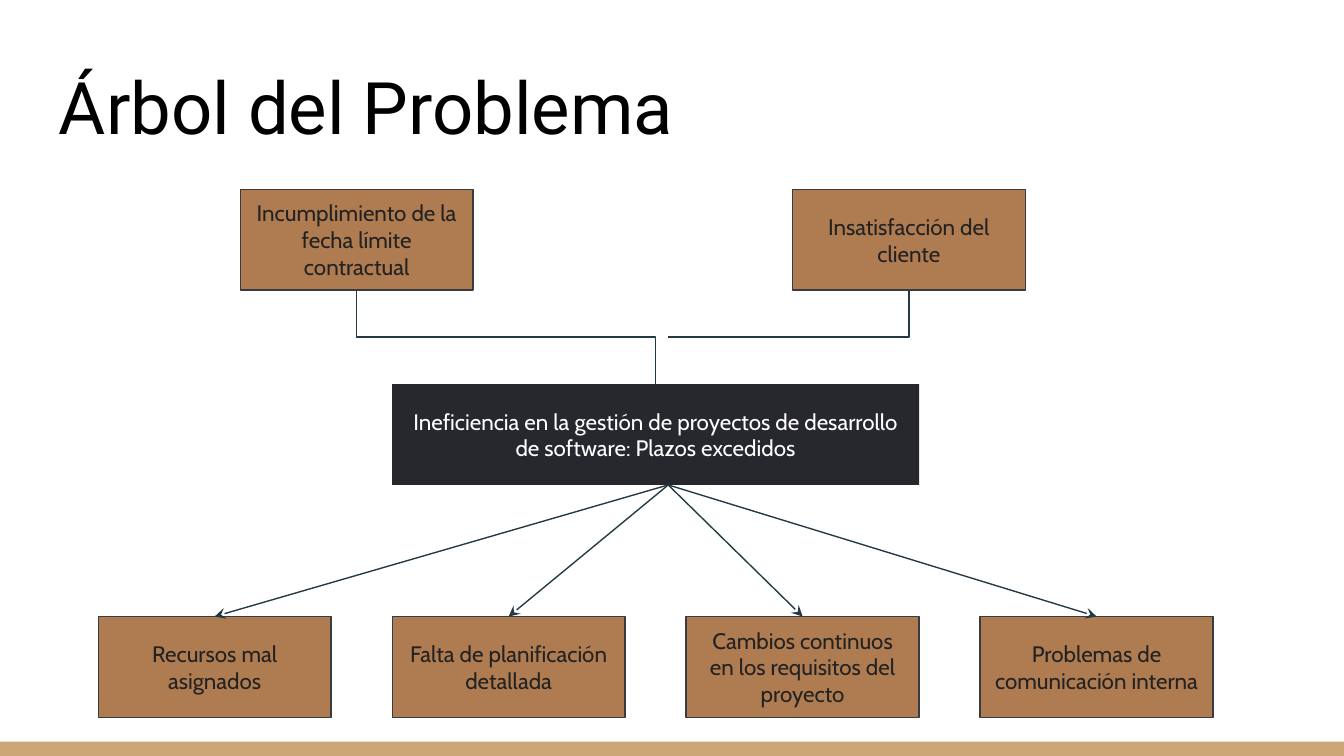
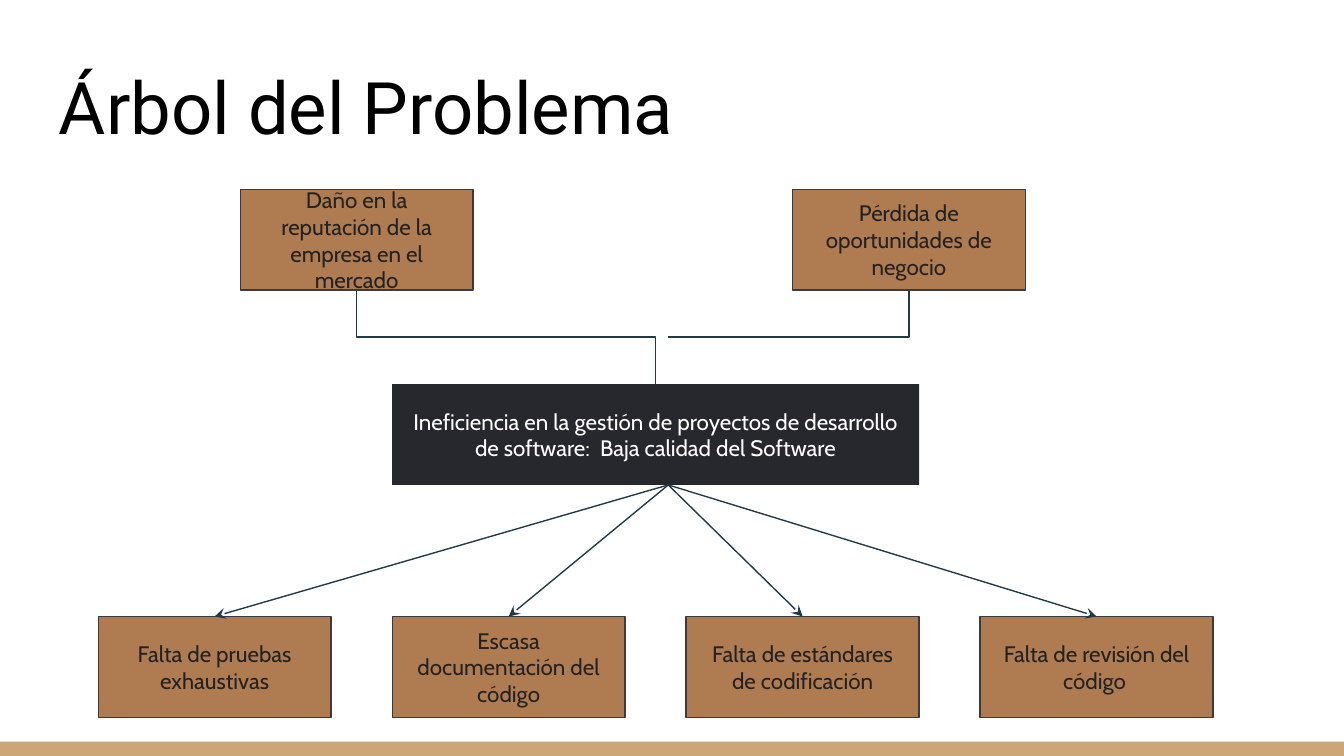
from dataclasses import dataclass

from lxml.etree import SubElement
from pptx import Presentation
from pptx.dml.color import RGBColor
from pptx.enum.shapes import MSO_CONNECTOR, MSO_SHAPE
from pptx.enum.text import MSO_ANCHOR, PP_ALIGN
from pptx.oxml.ns import qn
from pptx.util import Pt


@dataclass(frozen=True)
class Theme:
    band: str = "CCA677"
    title: str = "000000"
    leaf: str = "AF7B51"
    leaf_text: str = "222222"
    leaf_edge: str = "393B43"
    core: str = "27282D"
    core_text: str = "FFFFFF"
    link: str = "233A44"
    title_font: str = "Roboto"
    body_font: str = "Cabin"
    title_size: float = 38.8
    body_size: float = 12
    line_width: float = 0.75
    inset: float = 7.2


PAGE_WIDTH, PAGE_HEIGHT = 720, 405
BOX_WIDTH, BOX_HEIGHT = 124.8, 54
CAUSE_LEFT, CAUSE_STEP, CAUSE_TOP = 52.6, 157.5, 330.3
EFFECT_LEFTS, EFFECT_TOP = (128.7, 424.5), 101.4
CORE_LEFT, CORE_TOP = CAUSE_LEFT + CAUSE_STEP, 205.8
CORE_WIDTH = CAUSE_STEP + BOX_WIDTH
FAN_X = 358
TOP, BOTTOM = 0, 2

TREES = [
    {
        "effects": [
            "Incumplimiento de la fecha límite contractual",
            "Insatisfacción del cliente",
        ],
        "core": "Ineficiencia en la gestión de proyectos de desarrollo de software: Plazos excedidos",
        "causes": [
            "Recursos mal asignados",
            "Falta de planificación detallada",
            "Cambios continuos en los requisitos del proyecto",
            "Problemas de comunicación interna",
        ],
    },
    {
        "effects": [
            "Daño en la reputación de la empresa en el mercado",
            "Pérdida de oportunidades de negocio",
        ],
        "core": "Ineficiencia en la gestión de proyectos de desarrollo de software:  Baja calidad del Software",
        "causes": [
            "Falta de pruebas exhaustivas",
            "Escasa documentación del código",
            "Falta de estándares de codificación",
            "Falta de revisión del código\t",
        ],
    },
]


class TreeDeck:
    def __init__(self, theme):
        self.theme = theme
        self.deck = Presentation()
        self.deck.slide_width = Pt(PAGE_WIDTH)
        self.deck.slide_height = Pt(PAGE_HEIGHT)
        self.page = None

    def new_page(self, title):
        self.page = self.deck.slides.add_slide(self.deck.slide_layouts[6])
        self.rectangle(0, 397.4, PAGE_WIDTH, 7.6, self.theme.band)
        box = self.page.shapes.add_textbox(Pt(24.5), Pt(6.5), Pt(671), Pt(80.6))
        self.add_text(box, title, self.theme.title_font, self.theme.title_size,
                      self.theme.title, PP_ALIGN.LEFT, MSO_ANCHOR.BOTTOM)

    def rectangle(self, left, top, width, height, fill, edge=None):
        box = self.page.shapes.add_shape(
            MSO_SHAPE.RECTANGLE, Pt(left), Pt(top), Pt(width), Pt(height))
        box.shadow.inherit = False
        box.fill.solid()
        box.fill.fore_color.rgb = RGBColor.from_string(fill)
        if edge:
            box.line.color.rgb = RGBColor.from_string(edge)
            box.line.width = Pt(self.theme.line_width)
        else:
            box.line.fill.background()
        return box

    def add_text(self, box, text, font, size, color, align, anchor):
        frame = box.text_frame
        frame.word_wrap = True
        frame.vertical_anchor = anchor
        frame.margin_left = frame.margin_right = Pt(self.theme.inset)
        frame.margin_top = frame.margin_bottom = Pt(self.theme.inset)
        para = frame.paragraphs[0]
        para.alignment = align
        span = para.add_run()
        span.text = text
        span.font.name = font
        span.font.size = Pt(size)
        span.font.color.rgb = RGBColor.from_string(color)

    def label(self, box, text, color):
        self.add_text(box, text, self.theme.body_font, self.theme.body_size,
                      color, PP_ALIGN.CENTER, MSO_ANCHOR.MIDDLE)

    def leaf(self, left, top, text):
        box = self.rectangle(left, top, BOX_WIDTH, BOX_HEIGHT,
                             self.theme.leaf, self.theme.leaf_edge)
        self.label(box, text, self.theme.leaf_text)
        return box

    def core(self, text):
        box = self.rectangle(CORE_LEFT, CORE_TOP, CORE_WIDTH, BOX_HEIGHT, self.theme.core)
        self.label(box, text, self.theme.core_text)
        return box

    def link(self, kind, start, end):
        line = self.page.shapes.add_connector(kind, *map(Pt, (*start, *end)))
        line.line.color.rgb = RGBColor.from_string(self.theme.link)
        line.line.width = Pt(self.theme.line_width)
        SubElement(line.element.spPr, qn("a:effectLst"))
        return line

    def arrow(self, start, end, target):
        line = self.link(MSO_CONNECTOR.STRAIGHT, start, end)
        line.end_connect(target, TOP)
        stroke = line.element.spPr.find(qn("a:ln"))
        SubElement(stroke, qn("a:tailEnd"), type="stealth")

    def step_down(self, upper, lower):
        start = (upper.left + upper.width // 2, upper.top + upper.height)
        end = (lower.left + lower.width // 2, lower.top)
        line = self.link(MSO_CONNECTOR.ELBOW, (0, 0), (1, 1))
        line.begin_connect(upper, BOTTOM)
        line.end_connect(lower, TOP)
        line.width, line.height = end[1] - start[1], end[0] - start[0]
        line.left = (start[0] + end[0] - line.width) // 2
        line.top = (start[1] + end[1] - line.height) // 2
        frame = line.element.spPr.find(qn("a:xfrm"))
        frame.set("rot", "16200000")
        frame.set("flipH", "1")

    def corner(self, start, end, target):
        line = self.link(MSO_CONNECTOR.ELBOW, start, end)
        line.end_connect(target, BOTTOM)
        line.element.spPr.find(qn("a:prstGeom")).set("prst", "bentConnector2")

    def tree(self, effects, core, causes):
        core_box = self.core(core)
        for index, text in enumerate(causes):
            left = CAUSE_LEFT + index * CAUSE_STEP
            cause = self.leaf(left, CAUSE_TOP, text)
            self.arrow((FAN_X, CORE_TOP + BOX_HEIGHT),
                       (left + BOX_WIDTH / 2, CAUSE_TOP), cause)
        first, second = [self.leaf(left, EFFECT_TOP, text)
                         for left, text in zip(EFFECT_LEFTS, effects)]
        self.step_down(first, core_box)
        effect_bottom = EFFECT_TOP + BOX_HEIGHT
        self.corner((FAN_X, (effect_bottom + CORE_TOP) / 2),
                    (EFFECT_LEFTS[1] + BOX_WIDTH / 2, effect_bottom), second)


def main():
    builder = TreeDeck(Theme())
    for tree in TREES:
        builder.new_page("Árbol del Problema")
        builder.tree(**tree)
    builder.deck.save("out.pptx")


if __name__ == "__main__":
    main()
